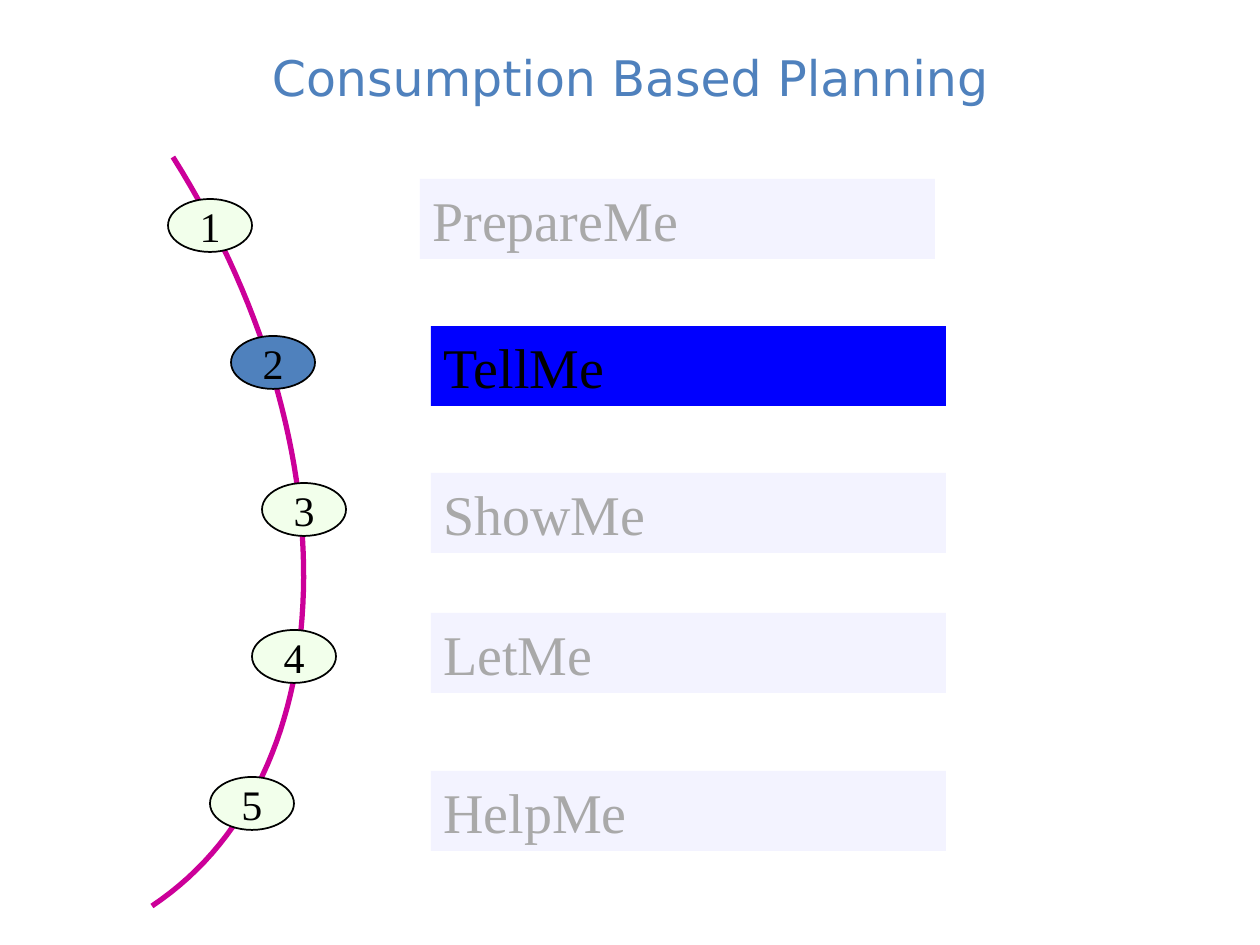
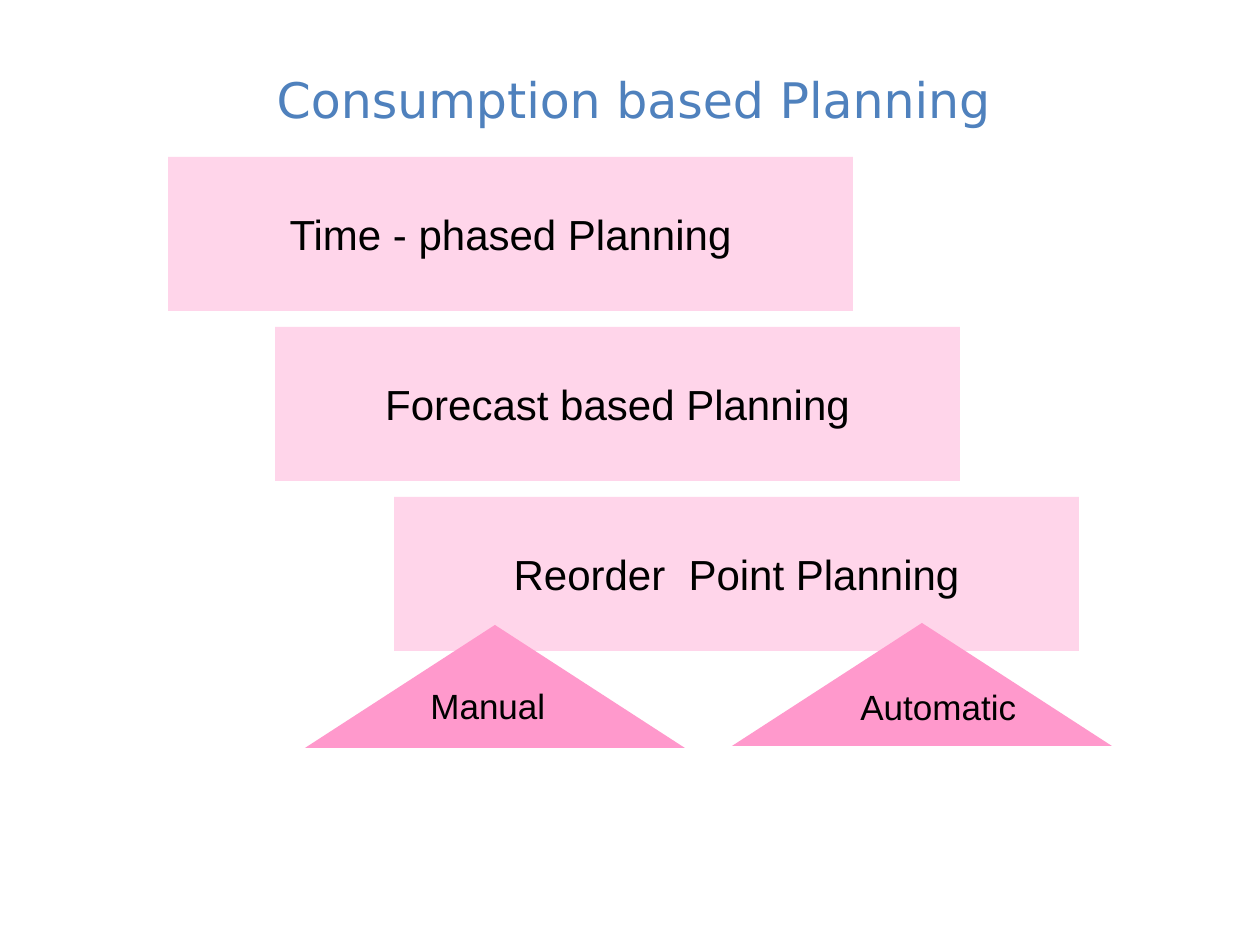
"""Build two slides on consumption based planning."""
from pptx import Presentation
from pptx import util as u
from pptx.dml.color import RGBColor
from pptx.enum import shapes, text

BLUE = RGBColor(0x4F, 0x81, 0xBD)
VIVID = RGBColor(0x00, 0x00, 0xFF)
PALE = RGBColor(0xF3, 0xF3, 0xFF)
GREY = RGBColor(0xA9, 0xA9, 0xA9)
MINT = RGBColor(0xF2, 0xFF, 0xEB)
PLUM = RGBColor(0xCC, 0x00, 0x99)
BLUSH = RGBColor(0xFF, 0xD5, 0xEA)
PINK = RGBColor(0xFF, 0x99, 0xCC)
BLACK = RGBColor(0, 0, 0)

SANS, SERIF, HEAD = "Arial", "Times New Roman", "DejaVu Sans"
KIND = shapes.MSO_SHAPE
LEFT, MID = text.PP_ALIGN.LEFT, text.PP_ALIGN.CENTER
TOP, CORE = text.MSO_ANCHOR.TOP, text.MSO_ANCHOR.MIDDLE

ARC = [(173, 157), (355, 446), (346, 777), (152, 906)]
ACTIVE = 2
STEPS = [
    ("PrepareMe", (168, 199), (420, 179)),
    ("TellMe", (231, 336), (431, 326)),
    ("ShowMe", (262, 483), (431, 473)),
    ("LetMe", (252, 630), (431, 613)),
    ("HelpMe", (210, 777), (431, 771)),
]
TYPES = [
    ("Time - phased Planning", 168),
    ("Forecast based Planning", 275),
    ("Reorder  Point Planning", 394),
]
MODES = [
    ("Manual", (305, 625), (418, 678, 140, 55)),
    ("Automatic", (732, 623), (848, 679, 239, 55)),
]


def px(n):
    """Turn pixels into EMU."""
    return u.Emu(round(n * 914400 / 126))


def write(shape, words, size, font, color, align=MID, anchor=CORE):
    """Put one formatted line of text into a shape."""
    frame = shape.text_frame
    frame.text = words
    frame.word_wrap = False
    frame.auto_size = text.MSO_AUTO_SIZE.NONE
    frame.vertical_anchor = anchor
    line = frame.paragraphs[0]
    line.alignment = align
    face = line.runs[0].font
    face.size, face.name = u.Pt(size), font
    face.color.rgb = color


def start(deck, words, box):
    """Add a slide with its title in place."""
    slide = deck.slides.add_slide(deck.slide_layouts[5])
    title = slide.shapes.title
    title.left, title.top, title.width, title.height = map(px, box)
    write(title, words, 28, HEAD, BLUE)
    return slide


def block(slide, kind, box, fill, edge=None):
    """Add a filled preset shape, outlined if an edge colour is given."""
    shape = slide.shapes.add_shape(kind, *map(px, box))
    shape.shadow.inherit = False
    shape.fill.solid()
    shape.fill.fore_color.rgb = fill
    if edge is None:
        shape.line.fill.background()
    else:
        shape.line.color.rgb = edge
        shape.line.width = u.Pt(1)
    return shape


def bend(a, b, c, d, t):
    """Find the point at t on a cubic curve."""
    s = 1 - t
    return s**3 * a + 3 * s * s * t * b + 3 * s * t * t * c + t**3 * d


def curve(slide, knots, count=60):
    """Draw an open curve through sampled points."""
    xs, ys = zip(*knots)
    spots = [(px(bend(*xs, i / count)), px(bend(*ys, i / count)))
             for i in range(count + 1)]
    pen = slide.shapes.build_freeform(*spots[0])
    pen.add_line_segments(spots[1:], close=False)
    shape = pen.convert_to_shape()
    shape.shadow.inherit = False
    shape.fill.background()
    shape.line.color.rgb = PLUM
    shape.line.width = u.Pt(3)


def step(slide, num, name, dot, bar):
    """Add a numbered oval and its labelled bar."""
    live = num == ACTIVE
    oval = block(slide, KIND.OVAL, (*dot, 84, 53), BLUE if live else MINT, BLACK)
    write(oval, str(num), 24, SERIF, BLACK)
    band = block(slide, KIND.RECTANGLE, (*bar, 515, 80), VIVID if live else PALE)
    write(band, name, 32, SERIF, BLACK if live else GREY, LEFT, TOP)


def mode(slide, name, peak, box):
    """Add a triangle and its label."""
    block(slide, KIND.ISOSCELES_TRIANGLE, (*peak, 380, 123), PINK)
    label = slide.shapes.add_textbox(*map(px, box))
    write(label, name, 20, SANS, BLACK, LEFT, TOP)


def main():
    """Build and save both slides."""
    deck = Presentation()
    deck.slide_width, deck.slide_height = px(1260), px(945)

    slide = start(deck, "Consumption Based Planning", (63, 38, 1134, 78))
    curve(slide, ARC)
    for num, item in enumerate(STEPS, 1):
        step(slide, num, *item)

    slide = start(deck, "Consumption based Planning", (32, 53, 1203, 92))
    for row, (name, left) in enumerate(TYPES):
        box = (left, 157 + 170 * row, 685, 154)
        write(block(slide, KIND.RECTANGLE, box, BLUSH), name, 24, SANS, BLACK)
    for item in MODES:
        mode(slide, *item)

    deck.save("out.pptx")


if __name__ == "__main__":
    main()
